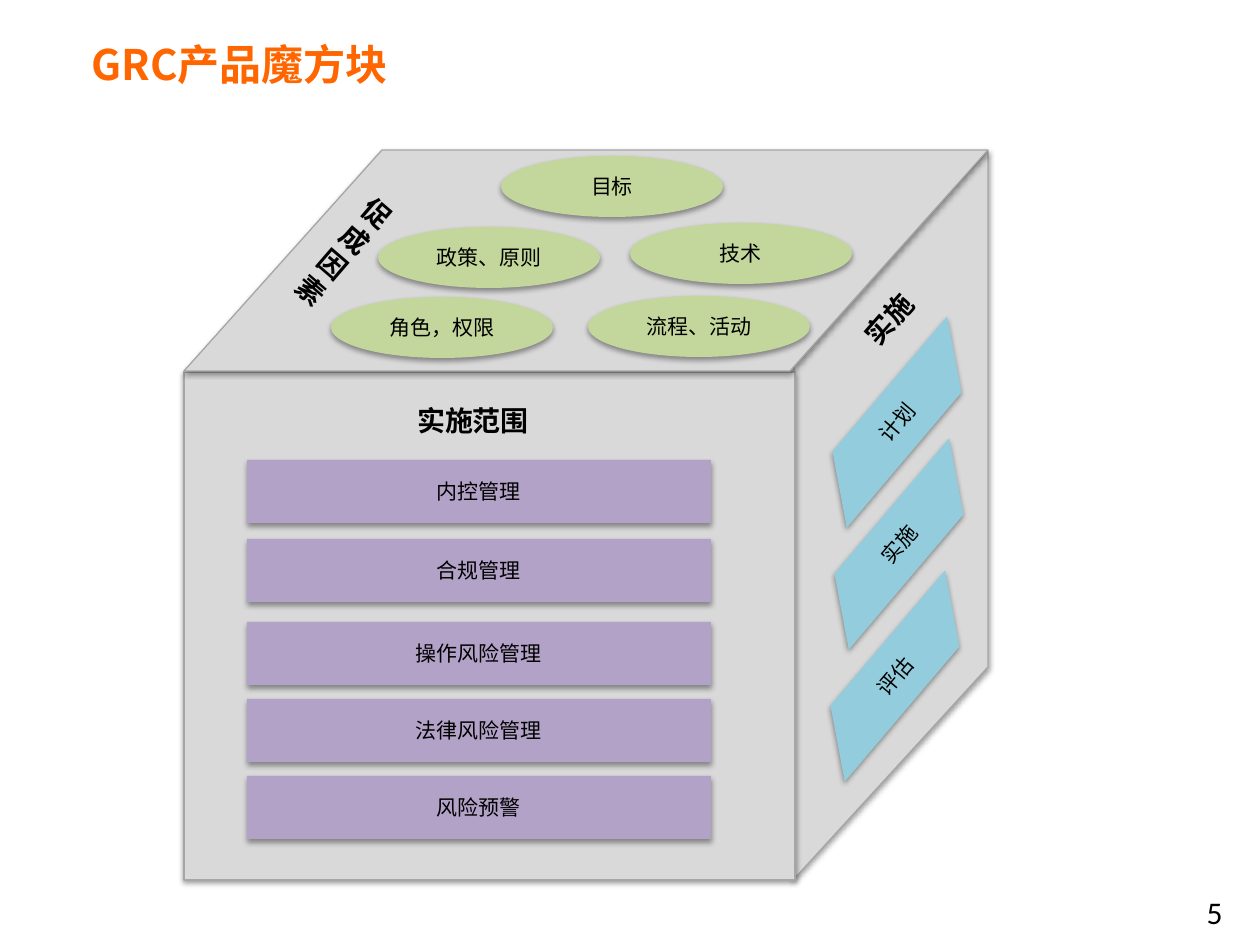
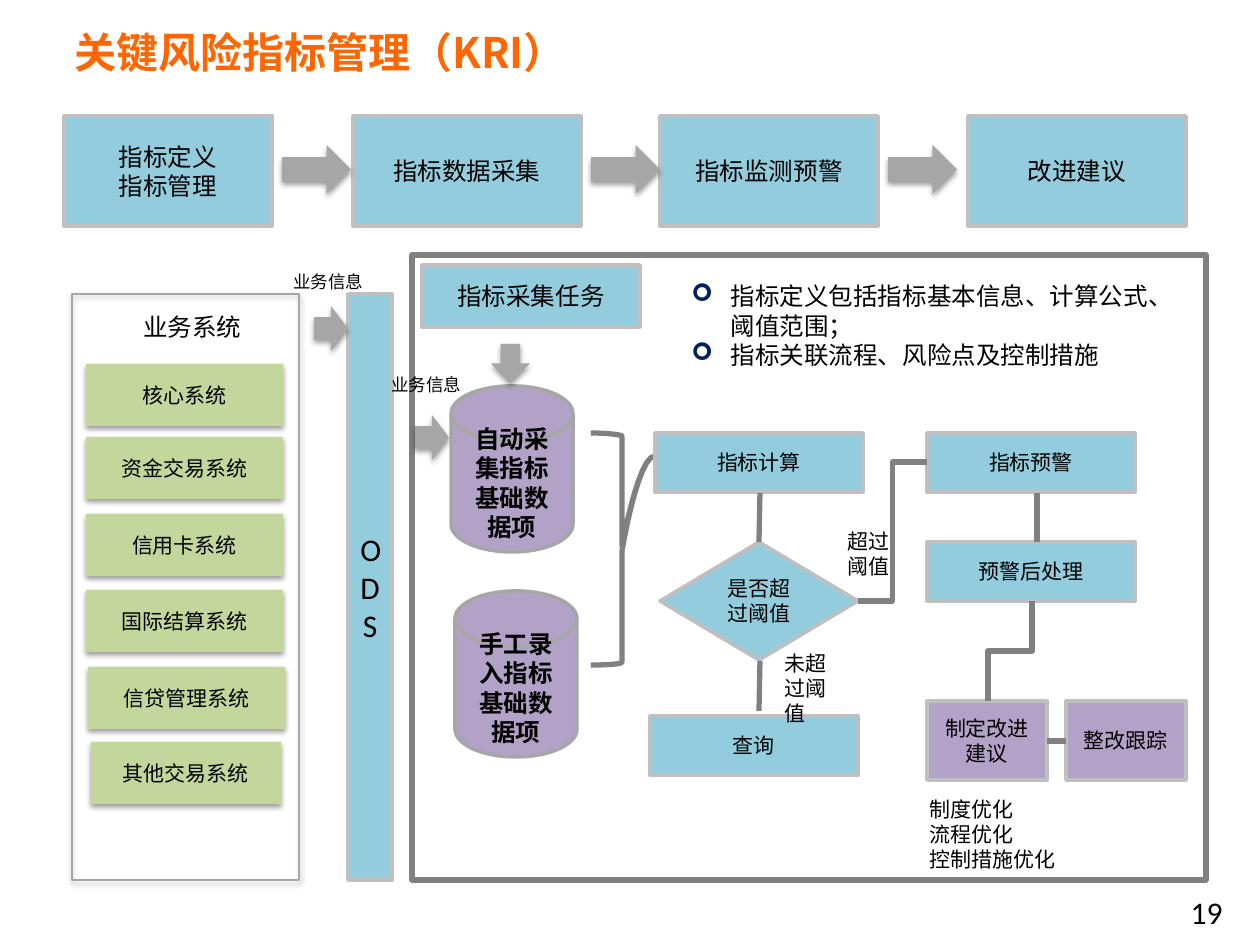
from dataclasses import dataclass

from lxml import etree
from pptx import Presentation
from pptx import util as u
from pptx.dml.color import RGBColor
from pptx.enum import shapes, text
from pptx.oxml import ns

PX = 914400 / 126
FORM = shapes.MSO_SHAPE
LINK = shapes.MSO_CONNECTOR
ALIGN = text.PP_ALIGN
ANCHOR = text.MSO_ANCHOR


@dataclass(frozen=True)
class Theme:
    """Colours, fonts and type sizes shared by the slides."""
    orange: str = "FF6600"
    black: str = "000000"
    navy: str = "002060"
    purple: str = "B3A2C7"
    blue: str = "93CDDD"
    green: str = "C3D69B"
    face: str = "D9D9D9"
    border: str = "BFBFBF"
    mid_grey: str = "A6A6A6"
    dark_grey: str = "808080"
    cjk: str = "Noto Sans CJK SC"
    latin: str = "Calibri"
    title: int = 24
    large: int = 18
    heading: int = 16
    step: int = 14
    body: int = 12
    small: int = 10


T = Theme()
EDGE = (T.mid_grey, 0.75)
FRAME = (T.border, 2)
FLOW = (T.dark_grey, 3)


def px(length):
    """Turn px into EMU."""
    return u.Emu(round(length * PX))


def add_node(parent, tag, **attributes):
    """Append a DrawingML element to a parent."""
    node = etree.SubElement(parent, ns.qn(tag))
    for key, value in attributes.items():
        node.set(key, str(value))
    return node


def cast_shadow(shape):
    """Give a shape the soft shadow that falls below it."""
    effects = shape.element.spPr.find(ns.qn("a:effectLst"))
    outer = add_node(effects, "a:outerShdw", blurRad=40000, dist=20000,
                     dir=5400000, rotWithShape=0)
    add_node(add_node(outer, "a:srgbClr", val=T.black), "a:alpha", val=38000)


def add_bullet(paragraph):
    """Hang a paragraph on an arrowhead bullet."""
    props = paragraph._p.get_or_add_pPr()
    props.set("marL", "285750")
    props.set("indent", "-285750")
    add_node(add_node(props, "a:buClr"), "a:srgbClr", val=T.navy)
    add_node(props, "a:buFont", typeface="Wingdings")
    add_node(props, "a:buChar", char="➢")


def write(shape, words, size=T.body, bold=False, color=T.black, font=T.cjk,
          align=ALIGN.CENTER, anchor=ANCHOR.MIDDLE, bullets=False):
    """Write one paragraph for each line of the words."""
    frame = shape.text_frame
    frame.word_wrap = True
    frame.vertical_anchor = anchor
    frame.text = words
    for paragraph in frame.paragraphs:
        paragraph.alignment = align
        if bullets:
            add_bullet(paragraph)
        paragraph.font.size = u.Pt(size)
        paragraph.font.bold = bold
        paragraph.font.color.rgb = RGBColor.from_string(color)
        paragraph.font.name = font
        defaults = paragraph._p.pPr.find(ns.qn("a:defRPr"))
        add_node(defaults, "a:ea", typeface=font)


@dataclass
class Region:
    """A part of a slide that places its contents from its own corner."""
    slide: object
    left: int = 0
    top: int = 0

    def place(self, x, y):
        """Return a point of the region in EMU on the slide."""
        return px(self.left + x), px(self.top + y)

    def shape(self, form, x, y, w, h, fill=None, line=None, words="",
              shadow=False, turn=0, adjust=None, **style):
        """Add a preset shape."""
        shape = self.slide.shapes.add_shape(form, *self.place(x, y), px(w), px(h))
        finish(shape, fill, line)
        shape.rotation = turn
        if adjust:
            shape.adjustments[0] = adjust
        if shadow:
            cast_shadow(shape)
        if words:
            write(shape, words, **style)
        return shape

    def label(self, words, x, y, w, h, turn=0, **style):
        """Add a text box."""
        box = self.slide.shapes.add_textbox(*self.place(x, y), px(w), px(h))
        box.rotation = turn
        write(box, words, **{"align": ALIGN.LEFT, "anchor": ANCHOR.TOP, **style})

    def link(self, x1, y1, x2, y2, kind=LINK.STRAIGHT, quarter_turns=0):
        """Add a connector."""
        link = self.slide.shapes.add_connector(
            kind, *self.place(x1, y1), *self.place(x2, y2))
        link.line.color.rgb = RGBColor.from_string(FLOW[0])
        link.line.width = u.Pt(FLOW[1])
        add_node(link.element.spPr, "a:effectLst")
        if quarter_turns:
            link.element.spPr.xfrm.set("rot", str(5400000 * quarter_turns))


def finish(shape, fill, line):
    """Set the fill and the outline of a shape."""
    shape.shadow.inherit = False
    if fill:
        shape.fill.solid()
        shape.fill.fore_color.rgb = RGBColor.from_string(fill)
    else:
        shape.fill.background()
    if line:
        shape.line.color.rgb = RGBColor.from_string(line[0])
        shape.line.width = u.Pt(line[1])
    else:
        shape.line.fill.background()


def new_slide(deck, title, number, left, top):
    """Add a blank slide with its title and page number."""
    slide = deck.slides.add_slide(deck.slide_layouts[6])
    page = Region(slide)
    page.label(title, left, top, 635, 68, size=T.title, bold=True,
               color=T.orange, anchor=ANCHOR.MIDDLE)
    page.label(number, 941, 879, 294, 66, size=T.large, font=T.latin,
               align=ALIGN.RIGHT, anchor=ANCHOR.MIDDLE)
    return slide


def cube_side(region):
    """Draw the right face with its implementation stages."""
    face = region.shape(FORM.PARALLELOGRAM, -268, 268, 728, 194, T.face, EDGE,
                        shadow=True, turn=90, adjust=1.093)
    face.element.spPr.xfrm.set("flipV", "1")
    region.label("实施", 8, 146, 174, 49, turn=311.1, size=T.heading,
                 bold=True, align=ALIGN.CENTER)
    for stage, x, y in (("计划", -11, 242), ("实施", -9, 364), ("评估", -13, 496)):
        region.shape(FORM.PARALLELOGRAM, x, y, 226, 60, T.blue, words=stage,
                     shadow=True, turn=310.3, adjust=0.812)


def cube_front(region):
    """Draw the front face with the scope of implementation."""
    region.shape(FORM.RECTANGLE, 0, 0, 611, 508, T.face, EDGE, shadow=True)
    region.label("实施范围", 136, 25, 306, 52, size=T.heading, bold=True,
                 align=ALIGN.CENTER)
    scope = (("内控管理", 88), ("合规管理", 167), ("操作风险管理", 250),
             ("法律风险管理", 327), ("风险预警", 404))
    for area, y in scope:
        region.shape(FORM.RECTANGLE, 63, y, 464, 63, T.purple, words=area, shadow=True)


def cube_top(region):
    """Draw the top face with the enabling factors."""
    region.shape(FORM.PARALLELOGRAM, 0, 0, 804, 221, T.face, EDGE,
                 shadow=True, adjust=0.896)
    region.label("促成因素", 128, 26, 53, 165, turn=40.7, size=T.heading, bold=True)
    factors = (("目标", 317, 6), ("政策、原则", 194, 77), ("技术", 446, 73),
               ("流程、活动", 404, 146), ("角色，权限", 147, 147))
    for factor, x, y in factors:
        region.shape(FORM.OVAL, x, y, 222, 61, T.green, words=factor, shadow=True)


def process_row(region):
    """Draw the four steps of indicator management."""
    steps = (("指标定义\n指标管理", 0, 208), ("指标数据采集", 289, 228),
             ("指标监测预警", 596, 218), ("改进建议", 904, 218))
    for step, x, w in steps:
        region.shape(FORM.RECTANGLE, x, 0, w, 110, T.blue, FRAME, step, size=T.step)
    for x in (218, 527, 824):
        region.shape(FORM.RIGHT_ARROW, x, 29, 69, 49, T.mid_grey, shadow=True)


def business_systems(region):
    """Draw the panel of source systems feeding the data store."""
    region.shape(FORM.RECTANGLE, 0, 0, 227, 586, line=EDGE, shadow=True)
    region.label("业务系统", -8, 12, 257, 43, size=T.step, align=ALIGN.CENTER)
    systems = (("核心系统", 14, 70, 197), ("资金交易系统", 14, 143, 197),
               ("信用卡系统", 14, 220, 197), ("国际结算系统", 14, 296, 197),
               ("信贷管理系统", 16, 373, 197), ("其他交易系统", 19, 448, 190))
    for system, x, y, w in systems:
        region.shape(FORM.RECTANGLE, x, y, w, 62, T.green, words=system, shadow=True)
    region.shape(FORM.RECTANGLE, 276, 0, 44, 586, T.blue, FRAME, "ODS",
                 size=T.large, font=T.latin)
    region.shape(FORM.RIGHT_ARROW, 242, 12, 34, 45, T.mid_grey, shadow=True)
    region.label("业务信息", 209, -29, 116, 34, size=T.small)


def collection(region):
    """Draw the collection task and the two stores of base data."""
    region.shape(FORM.RECTANGLE, 10, 10, 218, 62, T.blue, FRAME, "指标采集任务",
                 size=T.step)
    region.shape(FORM.RIGHT_ARROW, 3, 160, 34, 45, T.mid_grey, shadow=True)
    region.label("业务信息", -33, 113, 116, 34, size=T.small)
    for store, x, y in (("自动采集指标基础数据项", 39, 131),
                        ("手工录入指标基础数据项", 43, 336)):
        region.shape(FORM.FLOWCHART_MAGNETIC_DISK, x, y, 122, 166, T.purple,
                     (T.mid_grey, 2), store, size=T.step, bold=True)
    region.shape(FORM.DOWN_ARROW, 79, 89, 39, 39, T.mid_grey, shadow=True)


def curve(*controls, parts=12):
    """Return points along a cubic curve."""
    points = []
    for part in range(parts + 1):
        t = part / parts
        weights = ((1 - t) ** 3, 3 * t * (1 - t) ** 2, 3 * t * t * (1 - t), t ** 3)
        points.append([sum(k * c[axis] for k, c in zip(weights, controls))
                       for axis in (0, 1)])
    return points


def brace(region):
    """Draw the skewed brace joining both stores to the calculation."""
    outline = [
        *curve((179, 178), (197, 178), (210, 180), (210, 181)),
        *curve((210, 291), (210, 293), (226, 201), (243, 201)),
        *curve((243, 201), (226, 201), (210, 295), (210, 297)),
        *curve((210, 407), (210, 409), (197, 410), (179, 410))]
    start, *rest = [region.place(x, y) for x, y in outline]
    builder = region.slide.shapes.build_freeform(*start)
    builder.add_line_segments(rest, close=False)
    finish(builder.convert_to_shape(), None, FLOW)


def monitoring(region):
    """Draw the flow from calculation through warning to improvement."""
    for node, x, y in (("指标计算", 243, 178), ("查询", 238, 461),
                       ("指标预警", 515, 178), ("预警后处理", 515, 287)):
        region.shape(FORM.RECTANGLE, x, y, 208, 59, T.blue, FRAME, node)
    region.shape(FORM.DIAMOND, 248, 287, 198, 118, T.blue, FRAME, "是否超过阈值")
    for action, x in (("制定改进建议", 515), ("整改跟踪", 654)):
        region.shape(FORM.RECTANGLE, x, 446, 120, 79, T.purple, FRAME, action)
    for ends in ((348, 238, 347, 287), (348, 406, 347, 456),
                 (625, 238, 625, 287), (635, 486, 654, 486)):
        region.link(*ends)
    region.link(446, 346, 515, 207, LINK.ELBOW)
    region.link(548, 374, 648, 418, LINK.ELBOW, quarter_turns=1)
    region.label("超过阈值", 423, 267, 69, 63)
    region.label("未超过阈值", 360, 389, 86, 89)
    region.label("制度优化\n流程优化\n控制措施优化", 505, 535, 161, 89)


def indicator_flow(region):
    """Draw the framed flow of collecting and monitoring indicators."""
    region.shape(FORM.RECTANGLE, 0, 0, 794, 625, line=FLOW)
    collection(region)
    brace(region)
    monitoring(region)
    region.label("指标定义包括指标基本信息、计算公式、阈值范围；\n"
                 "指标关联流程、风险点及控制措施",
                 267, 20, 507, 131, size=T.step, bullets=True)


def main():
    """Build both slides and save the deck."""
    deck = Presentation()
    deck.slide_width, deck.slide_height = px(1260), px(945)
    cube = new_slide(deck, "GRC产品魔方块", "5", 79, 30)
    cube_side(Region(cube, 795, 150))
    cube_front(Region(cube, 184, 372))
    cube_top(Region(cube, 184, 150))
    kri = new_slide(deck, "关键风险指标管理（KRI）", "19", 62, 18)
    process_row(Region(kri, 64, 116))
    business_systems(Region(kri, 72, 294))
    indicator_flow(Region(kri, 412, 255))
    deck.save("out.pptx")


if __name__ == "__main__":
    main()
